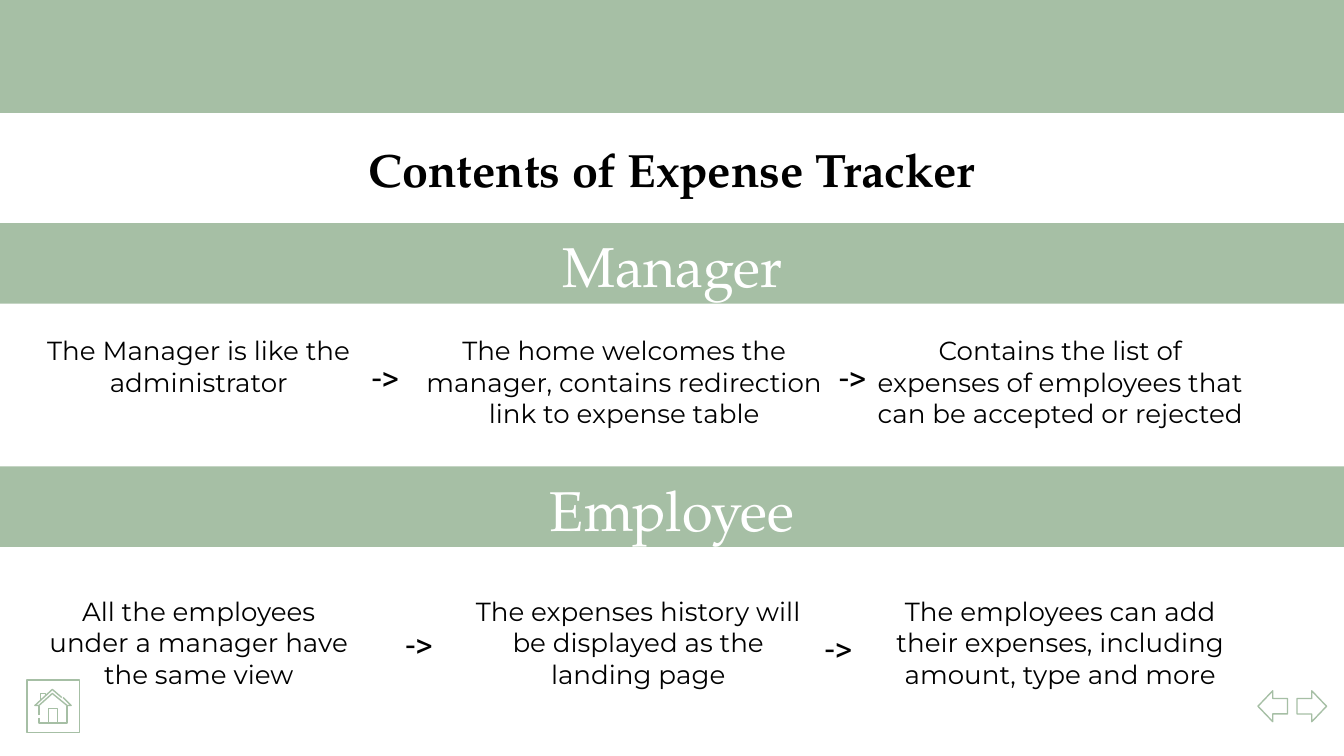
from pptx import Presentation
from pptx.dml.color import RGBColor
from pptx.enum.shapes import MSO_SHAPE as SHAPE
from pptx.enum.text import MSO_ANCHOR as ANCHOR, PP_ALIGN as ALIGN
from pptx.util import Inches, Pt

SAGE = RGBColor(0xA6, 0xBF, 0xA5)
WHITE = RGBColor(0xFF, 0xFF, 0xFF)
BLACK = RGBColor(0x00, 0x00, 0x00)
SERIF, SANS, SYMBOL = "TeX Gyre Pagella", "Montserrat", "Roboto"


class Deck:
    def __init__(self, width):
        """Start a 16:9 deck with one blank slide."""
        self.prs = Presentation()
        self.prs.slide_width = Inches(width)
        self.prs.slide_height = Inches(width * 9 / 16)
        self.s = self.prs.slides.add_slide(self.prs.slide_layouts[6])

    def shape(self, kind, box, fill, line=None, rotation=0):
        sp = self.s.shapes.add_shape(kind, *map(Inches, box))
        sp.shadow.inherit = False
        sp.fill.solid()
        sp.fill.fore_color.rgb = fill
        self.outline(sp, line)
        sp.rotation = rotation

    def outline(self, sp, color):
        if color is None:
            sp.line.fill.background()
        else:
            sp.line.color.rgb = color
            sp.line.width = Pt(0.75)

    def text(self, text, box, font, size, color=BLACK, bold=False,
             align=ALIGN.CENTER, anchor=ANCHOR.TOP, inset=0.1):
        """Add wrapped text; inset is the top and bottom margin."""
        tf = self.s.shapes.add_textbox(*map(Inches, box)).text_frame
        tf.word_wrap = True
        tf.vertical_anchor = anchor
        tf.margin_left = tf.margin_right = Inches(0.1)
        tf.margin_top = tf.margin_bottom = Inches(inset)
        p = tf.paragraphs[0]
        p.text = text
        p.alignment = align
        f = p.runs[0].font
        f.name, f.size, f.bold, f.color.rgb = font, Pt(size), bold, color

    def strokes(self, paths, color):
        """Draw several open polylines as one unfilled outline."""
        paths = [[(Inches(x), Inches(y)) for x, y in path] for path in paths]
        builder = self.s.shapes.build_freeform(*paths[0][0], scale=1.0)
        for i, path in enumerate(paths):
            if i:
                builder.move_to(*path[0])
            builder.add_line_segments(path[1:], close=False)
        sp = builder.convert_to_shape()
        sp.shadow.inherit = False
        sp.fill.background()
        self.outline(sp, color)


HOUSE = [
    [(0.29, 5.34), (0.29, 5.38), (0.5, 5.38), (0.5, 5.25)],
    [(0.29, 5.32), (0.29, 5.25)],
    [(0.46, 5.19), (0.39, 5.13), (0.26, 5.25), (0.29, 5.25),
     (0.39, 5.16), (0.5, 5.25), (0.53, 5.25), (0.47, 5.19)],
    [(0.3, 5.21), (0.3, 5.16), (0.34, 5.16), (0.34, 5.18)],
    [(0.36, 5.38), (0.36, 5.27), (0.43, 5.27), (0.43, 5.38)],
]

# Each section: heading and its box, top of the columns,
# (left, width, height, text) of each column
SECTIONS = [
    ("Manager", (3.25, 1.66, 3.51, 0.66), 2.39, [
        (0.2, 2.56, 0.66, "The Manager is like the administrator"),
        (2.99, 3.31, 0.66, "The home welcomes the manager, contains "
                           "redirection link to expense table"),
        (6.42, 2.94, 0.66, "Contains the list of expenses of employees that "
                           "can be accepted or rejected")]),
    ("Employee", (3.68, 3.49, 2.64, 0.65), 4.33, [
        (0.2, 2.56, 0.66, "All the employees under a manager have the same "
                          "view"),
        (3.43, 2.64, 0.92, "The expenses history will be displayed as the "
                           "landing page"),
        (6.42, 2.94, 0.66, "The employees can add their expenses, including "
                           "amount, type and more")]),
]

STEPS = [
    ((2.67, 2.61, 3.48, 0.4), ALIGN.LEFT, ANCHOR.TOP, 0.05),
    ((5.15, 2.61, 2.39, 0.4), ALIGN.CENTER, ANCHOR.TOP, 0.05),
    ((2.78, 4.53, 0.68, 0.51), ALIGN.CENTER, ANCHOR.BOTTOM, 0.1),
    ((5.83, 4.62, 0.82, 0.4), ALIGN.CENTER, ANCHOR.TOP, 0.05),
]


def main():
    deck = Deck(10)
    for band in [(0, 1.66, 10, 0.6), (0, 3.47, 10, 0.6),
                 (-0.05, -0.06, 10.11, 0.9)]:
        deck.shape(SHAPE.RECTANGLE, band, SAGE)
    deck.text("Contents of Expense Tracker", (0.78, 0.95, 8.44, 0.6),
              SERIF, 25, bold=True)

    for heading, box, top, columns in SECTIONS:
        deck.text(heading, box, SERIF, 30, WHITE, anchor=ANCHOR.BOTTOM)
        for left, width, height, text in columns:
            deck.text(text, (left, top, width, height), SANS, 14)
    for box, align, anchor, inset in STEPS:
        deck.text("->", box, SYMBOL, 18, align=align, anchor=anchor,
                  inset=inset)

    for left, rotation in [(9.36, 0), (9.65, 180)]:
        deck.shape(SHAPE.LEFT_ARROW, (left, 5.14, 0.22, 0.23), WHITE, SAGE,
                   rotation)
    deck.shape(SHAPE.RECTANGLE, (0.2, 5.06, 0.39, 0.39), WHITE, SAGE)
    deck.strokes(HOUSE, SAGE)
    deck.prs.save("out.pptx")


if __name__ == "__main__":
    main()
